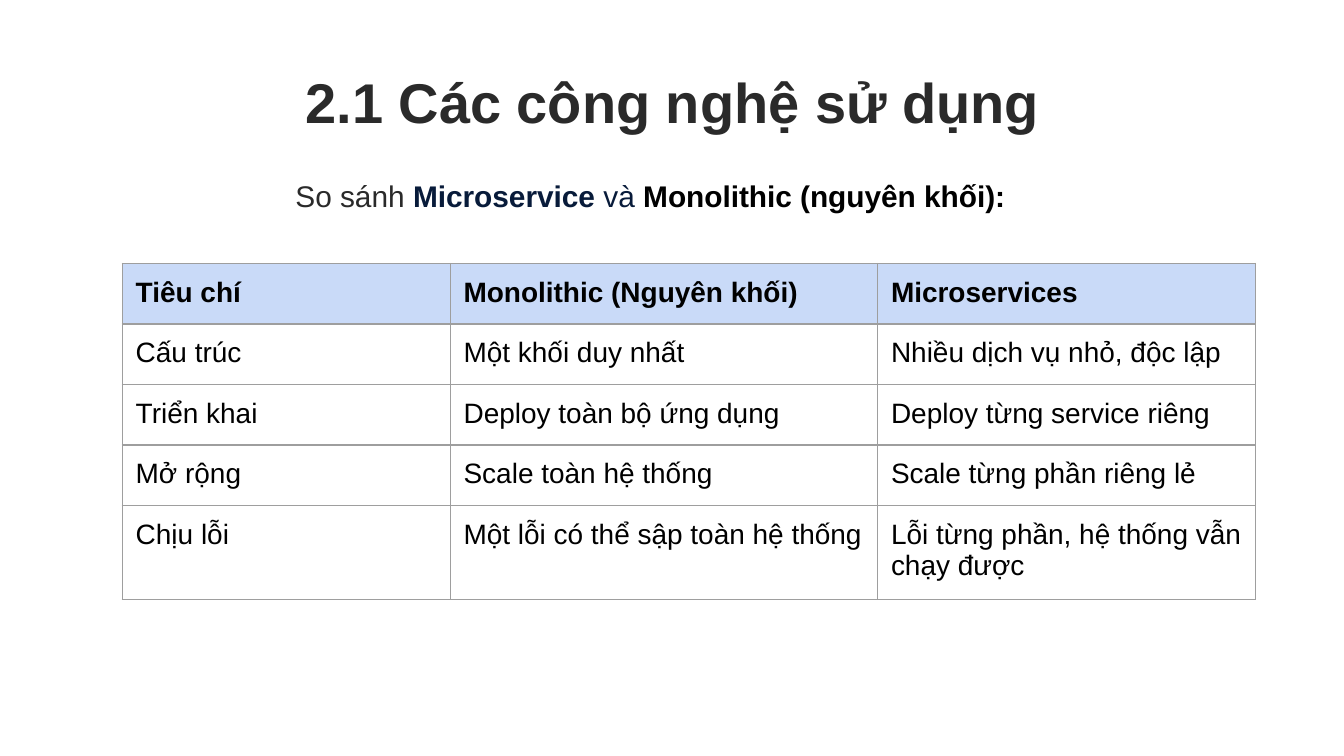
from dataclasses import dataclass

from lxml import etree
from pptx import Presentation
from pptx.dml.color import RGBColor
from pptx.enum import text as text_enum
from pptx.oxml import ns
from pptx.util import Inches, Pt


@dataclass(frozen=True)
class Theme:
    font: str = "Arial"
    title_size: float = 30
    subtitle_size: float = 16
    table_size: float = 15
    dark: str = "2A2A2A"
    navy: str = "081B3A"
    black: str = "000000"
    header_fill: str = "C9DAF8"
    border: str = "9E9E9E"
    border_width: float = 0.75
    inset: float = 0.1


@dataclass(frozen=True)
class Span:
    words: str
    size: float
    color: str
    bold: bool = False


@dataclass(frozen=True)
class Box:
    left: float
    top: float
    width: float
    height: float


THEME = Theme()
COLUMN_WIDTHS = (2.44, 3.18, 2.81)
ROW_HEIGHT = 0.42
CRITERIA = (
    ("Tiêu chí", "Monolithic (Nguyên khối)", "Microservices"),
    ("Cấu trúc", "Một khối duy nhất", "Nhiều dịch vụ nhỏ, độc lập"),
    ("Triển khai", "Deploy toàn bộ ứng dụng", "Deploy từng service riêng"),
    ("Mở rộng", "Scale toàn hệ thống", "Scale từng phần riêng lẻ"),
    ("Chịu lỗi", "Một lỗi có thể sập toàn hệ thống",
     "Lỗi từng phần, hệ thống vẫn chạy được"),
)


def add_span(paragraph, span: Span) -> None:
    run = paragraph.add_run()
    run.text = span.words
    run.font.name = THEME.font
    run.font.size = Pt(span.size)
    run.font.bold = span.bold
    run.font.color.rgb = RGBColor.from_string(span.color)


def set_insets(holder) -> None:
    for side in ("left", "top", "right", "bottom"):
        setattr(holder, f"margin_{side}", Inches(THEME.inset))


def add_heading(slide, box: Box, spans: list[Span], align) -> None:
    frame = slide.shapes.add_textbox(
        Inches(box.left), Inches(box.top), Inches(box.width), Inches(box.height)
    ).text_frame
    frame.word_wrap = True
    set_insets(frame)
    paragraph = frame.paragraphs[0]
    paragraph.alignment = align
    for span in spans:
        add_span(paragraph, span)


def add_borders(cell) -> None:
    properties = cell._tc.get_or_add_tcPr()
    for position, edge in enumerate(("lnL", "lnR", "lnT", "lnB")):
        line = etree.Element(ns.qn(f"a:{edge}"), w=str(Pt(THEME.border_width)))
        fill = etree.SubElement(line, ns.qn("a:solidFill"))
        etree.SubElement(fill, ns.qn("a:srgbClr"), val=THEME.border)
        properties.insert(position, line)  # borders come before the fill


def add_comparison(slide, box: Box) -> None:
    holder = slide.shapes.add_table(
        len(CRITERIA), len(COLUMN_WIDTHS), Inches(box.left), Inches(box.top),
        Inches(box.width), Inches(box.height))
    table = holder.table
    table.first_row = table.horz_banding = False
    for column, width in zip(table.columns, COLUMN_WIDTHS):
        column.width = Inches(width)
    for index, (row, entries) in enumerate(zip(table.rows, CRITERIA)):
        row.height = Inches(ROW_HEIGHT)
        is_header = index == 0
        for cell, words in zip(row.cells, entries):
            set_insets(cell)
            if is_header:
                cell.fill.solid()
                cell.fill.fore_color.rgb = RGBColor.from_string(THEME.header_fill)
            else:
                cell.fill.background()
            add_borders(cell)
            add_span(cell.text_frame.paragraphs[0],
                     Span(words, THEME.table_size, THEME.black, is_header))
    # Row and column changes resize the frame, so its size is set last
    holder.width, holder.height = Inches(box.width), Inches(box.height)


def main() -> None:
    deck = Presentation()
    deck.slide_width = Inches(10)
    deck.slide_height = deck.slide_width * 9 // 16
    slide = deck.slides.add_slide(deck.slide_layouts[6])

    # Title
    add_heading(
        slide, Box(0.79, 0.4, 8.43, 0.63),
        [Span("2.1 Các công nghệ sử dụng", THEME.title_size, THEME.dark, True)],
        text_enum.PP_ALIGN.CENTER)

    # Subtitle
    size = THEME.subtitle_size
    add_heading(
        slide, Box(2.1, 1.22, 5.78, 0.63),
        [Span("So sánh ", size, THEME.dark),
         Span("Microservice ", size, THEME.navy, True),
         Span("và ", size, THEME.navy),
         Span("Monolithic (nguyên khối):", size, THEME.black, True)],
        text_enum.PP_ALIGN.LEFT)

    # Comparison table
    add_comparison(slide, Box(0.91, 1.96, 3.28, 3.28))

    deck.save("out.pptx")


if __name__ == "__main__":
    main()
